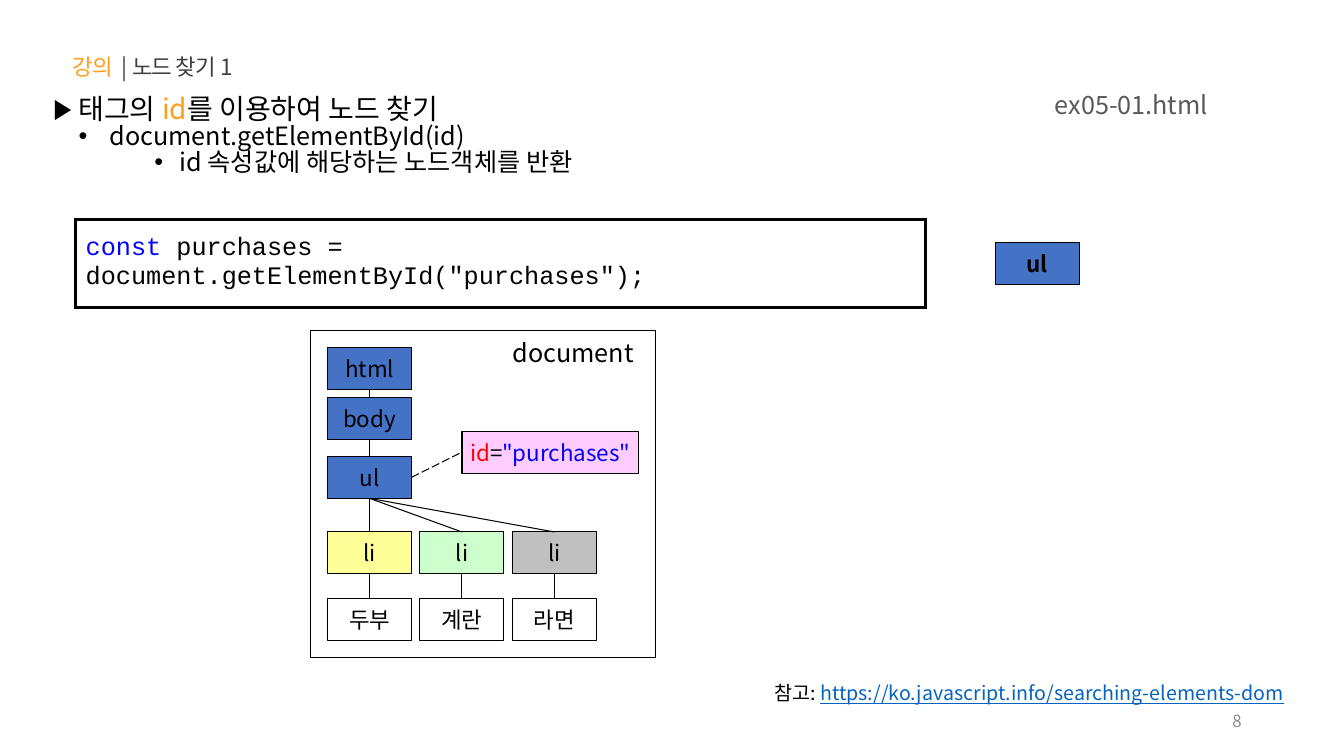
from lxml.etree import SubElement
from pptx import Presentation
from pptx.dml.color import RGBColor
from pptx.enum.dml import MSO_LINE
from pptx.enum.shapes import MSO_CONNECTOR, MSO_SHAPE
from pptx.enum.text import MSO_ANCHOR as Anchor, MSO_AUTO_SIZE as AutoSize, PP_ALIGN as Align
from pptx.oxml.ns import qn
from pptx.util import Pt

SANS, MONO = "Noto Sans CJK KR", "Courier New"
BLACK, WHITE, BLUE, ORANGE = "000000", "FFFFFF", "4472C4", "FF9E1B"
KEYWORD = "0000FF"
NODE_WIDTH, NODE_HEIGHT = 60, 30
TOP, LEFT, BOTTOM, RIGHT = range(4)


def color(value):
    return RGBColor.from_string(value)


def add_run(paragraph, text, size, ink=BLACK, font=SANS, bold=False, underline=False):
    run = paragraph.add_run()
    run.text = text
    run.font.size = Pt(size)
    run.font.name = font
    run.font.bold = bold
    run.font.underline = underline
    run.font.color.rgb = color(ink)
    SubElement(run.font._element, qn("a:ea")).set("typeface", font)
    return run


def place(shape, box):
    shape.left, shape.top, shape.width, shape.height = (Pt(length) for length in box)


def add_text(slide, box, runs, size, align=Align.LEFT, anchor=Anchor.TOP):
    shape = slide.shapes.add_textbox(*(Pt(length) for length in box))
    frame = shape.text_frame
    frame.word_wrap = True
    frame.vertical_anchor = anchor
    paragraph = frame.paragraphs[0]
    paragraph.alignment = align
    for text, ink, underline in runs:
        add_run(paragraph, text, size, ink, underline=underline)


def add_box(slide, box, fill=None, runs=(), bold=False):
    shape = slide.shapes.add_shape(MSO_SHAPE.RECTANGLE, *(Pt(length) for length in box))
    shape.shadow.inherit = False
    if fill:
        shape.fill.solid()
        shape.fill.fore_color.rgb = color(fill)
    else:
        shape.fill.background()
    shape.line.color.rgb = color(BLACK)
    shape.line.width = Pt(0.75)
    frame = shape.text_frame
    frame.word_wrap = False
    frame.vertical_anchor = Anchor.MIDDLE
    paragraph = frame.paragraphs[0]
    paragraph.alignment = Align.CENTER
    for text, ink in runs:
        add_run(paragraph, text, 16, ink, bold=bold)
    return shape


def add_node(slide, left, top, label, fill=BLUE, bold=False):
    return add_box(slide, (left, top, NODE_WIDTH, NODE_HEIGHT), fill, [(label, BLACK)], bold)


def join(slide, start, end, start_side=BOTTOM, end_side=TOP, dashed=False):
    line = slide.shapes.add_connector(MSO_CONNECTOR.STRAIGHT, 0, 0, 0, 0)
    line.begin_connect(start, start_side)
    line.end_connect(end, end_side)
    line.line.color.rgb = color(BLACK)
    line.line.width = Pt(0.75)
    if dashed:
        line.line.dash_style = MSO_LINE.LONG_DASH
    SubElement(line._element.spPr, qn("a:effectLst"))


# Heading line
def add_heading(slide, box):
    title = slide.shapes.title
    place(title, box)
    frame = title.text_frame
    frame.auto_size = AutoSize.NONE
    frame.vertical_anchor = Anchor.TOP
    paragraph = frame.paragraphs[0]
    paragraph.alignment = Align.LEFT
    for text, ink in (("강의 ", ORANGE), (" | 노드 찾기 1", "404040")):
        add_run(paragraph, text, 16, ink).font._element.set("spc", "-60")


# Bulleted list
def add_points(slide, box):
    body = slide.placeholders[1]
    place(body, box)
    frame = body.text_frame
    frame.auto_size = AutoSize.NONE
    points = [
        ("▶", 0, 0, 20, [(" 태그의 ", BLACK), ("id", ORANGE), ("를 이용하여 노드 찾기", BLACK)]),
        ("•", 36, -18, 18, [(" document.getElementById(id)", BLACK)]),
        ("•", 90, -18, 18, [("id 속성값에 해당하는 노드객체를 반환", BLACK)]),
    ]
    for level, (bullet, margin, indent, size, runs) in enumerate(points):
        paragraph = frame.add_paragraph() if level else frame.paragraphs[0]
        paragraph.level = level
        paragraph.line_spacing = 0.85
        paragraph.space_before = Pt(0)
        properties = paragraph._p.get_or_add_pPr()
        properties.set("marL", str(Pt(margin)))
        properties.set("indent", str(Pt(indent)))
        SubElement(properties, qn("a:buFont")).set("typeface", "Arial")
        SubElement(properties, qn("a:buChar")).set("char", bullet)
        for text, ink in runs:
            add_run(paragraph, text, size, ink)


# Code in a framed single cell
def add_code(slide, box):
    table = slide.shapes.add_table(1, 1, *(Pt(length) for length in box)).table
    table.first_row = table.horz_banding = False
    cell = table.cell(0, 0)
    cell.vertical_anchor = Anchor.MIDDLE
    properties = cell._tc.get_or_add_tcPr()
    for side in ("lnL", "lnR", "lnT", "lnB"):
        border = SubElement(properties, qn(f"a:{side}"), w=str(Pt(2.25)))
        SubElement(SubElement(border, qn("a:solidFill")), qn("a:srgbClr")).set("val", BLACK)
    cell.fill.background()
    paragraph = cell.text_frame.paragraphs[0]
    paragraph.space_before = Pt(3.6)
    add_run(paragraph, "const", 18, KEYWORD, MONO)
    add_run(paragraph, ' purchases = document.getElementById("purchases");', 18, BLACK, MONO)


# Document tree
def add_tree(slide, box):
    left, top, width, _ = box
    add_box(slide, box)
    add_text(slide, (left + width - 109, top + 1.5, 106, 29), [("document", BLACK, False)], 18)

    trunk_left = left + 12
    html, body, ul = (add_node(slide, trunk_left, top + offset, label)
                      for label, offset in (("html", 12), ("body", 48), ("ul", 90)))
    join(slide, html, body)
    join(slide, body, ul)

    attribute = add_box(slide, (left + 108, top + 72, 126, NODE_HEIGHT), "FFCCFF",
                        [("id", "FF0000"), ("=", BLACK), ('"purchases"', KEYWORD)])
    join(slide, ul, attribute, RIGHT, LEFT, dashed=True)

    leaves = [("두부", "FFFF99"), ("계란", "CCFFCC"), ("라면", "C0C0C0")]
    for column, (label, fill) in enumerate(leaves):
        leaf_left = trunk_left + 66 * column
        item = add_node(slide, leaf_left, top + 144, "li", fill)
        leaf = add_node(slide, leaf_left, top + 191.5, label, WHITE)
        join(slide, ul, item)
        join(slide, item, leaf)


# File name, reference and page number
def add_notes_in_margin(slide):
    add_text(slide, (582, 60.5, 288, 29), [("ex05-01.html", "595959", False)], 18, Align.RIGHT)
    add_text(slide, (523.5, 483, 401, 24.5),
             [("참고: ", BLACK, False),
              ("https://ko.javascript.info/searching-elements-dom", "0563C1", True)],
             14, Align.RIGHT)
    add_text(slide, (678, 500.5, 216, 29), [("8", "8C8C8C", False)], 12,
             Align.RIGHT, Anchor.MIDDLE)


def main():
    presentation = Presentation()
    presentation.slide_width, presentation.slide_height = Pt(960), Pt(540)
    slide = presentation.slides.add_slide(presentation.slide_layouts[1])
    add_heading(slide, (44.5, 34.5, 371, 26.5))
    add_points(slide, (31, 65.5, 658, 74))
    add_code(slide, (54, 157, 607, 62.5))
    add_tree(slide, (222, 236, 246, 234))
    add_node(slide, 711, 173.5, "ul", bold=True)
    add_notes_in_margin(slide)
    presentation.save("out.pptx")


if __name__ == "__main__":
    main()
